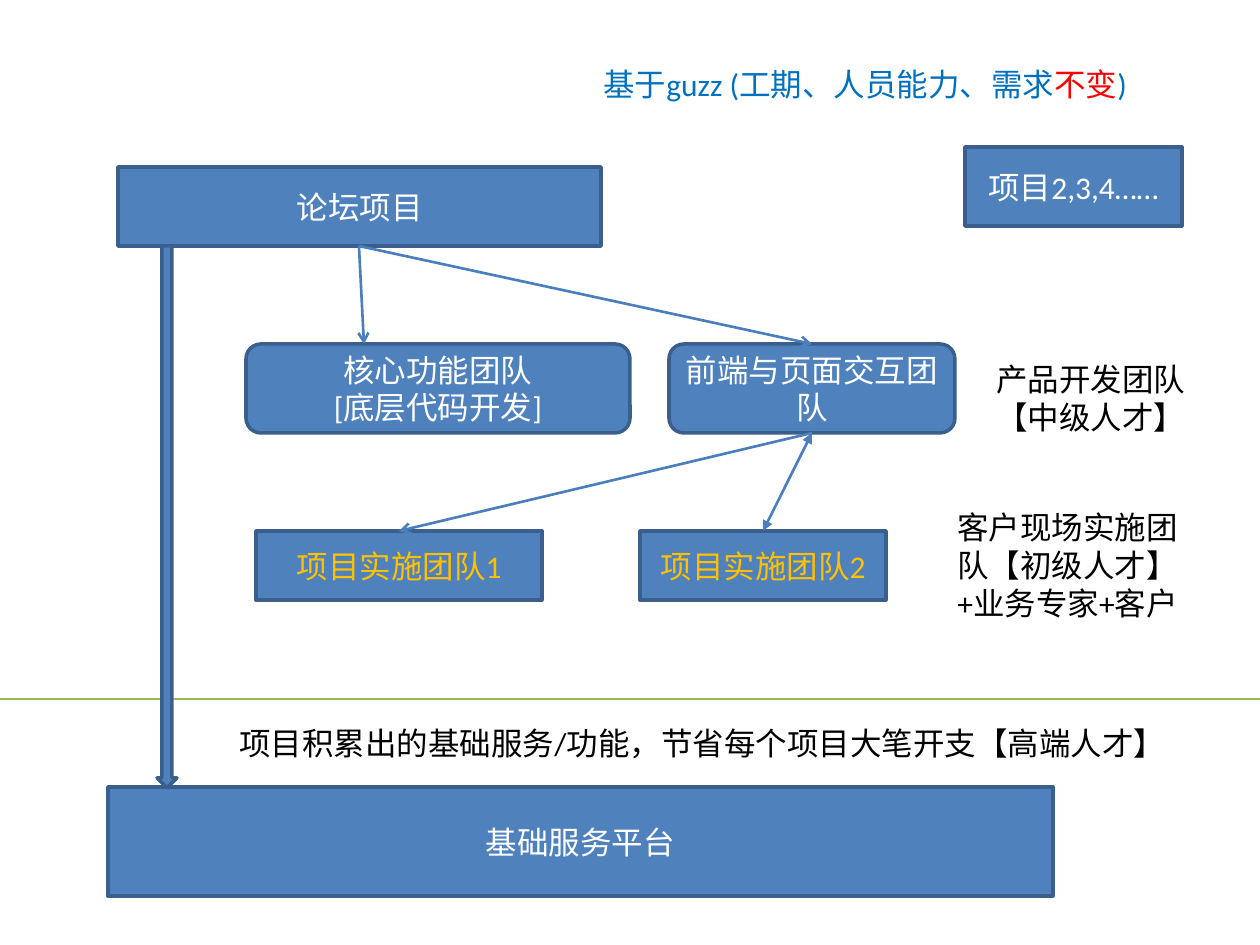
from lxml import etree
from pptx import Presentation
from pptx import util as u
from pptx.dml.color import RGBColor
from pptx.enum import shapes, text
from pptx.oxml.ns import qn

PX_PER_INCH = 126
WHITE = RGBColor(0xFF, 0xFF, 0xFF)
BLACK = RGBColor(0, 0, 0)
BLUE = RGBColor(0x00, 0x70, 0xC0)
RED = RGBColor(0xFF, 0, 0)
AMBER = RGBColor(0xFF, 0xC0, 0x00)
BOX_FILL = RGBColor(0x4F, 0x81, 0xBD)
BOX_EDGE = RGBColor(0x3A, 0x5F, 0x8C)
ARROW = RGBColor(0x4B, 0x7E, 0xBC)
DIVIDER = RGBColor(0x98, 0xB9, 0x55)

RECT = shapes.MSO_SHAPE.RECTANGLE
ROUND = shapes.MSO_SHAPE.ROUNDED_RECTANGLE
DOWN = shapes.MSO_SHAPE.DOWN_ARROW


def px(*values):
    """Turn pixels into EMU."""
    return [u.Inches(v / PX_PER_INCH) for v in values]


class Diagram:
    font_name = "Calibri"
    font_size = u.Pt(18)

    def __init__(self, prs):
        self.s = prs.slides.add_slide(prs.slide_layouts[6])

    def fill_text(self, tf, paragraphs, align):
        """Fill a frame; each paragraph is a list of (wording, colour) runs."""
        tf.word_wrap = True
        for i, runs in enumerate(paragraphs):
            p = tf.add_paragraph() if i else tf.paragraphs[0]
            p.alignment = align
            p.font.name, p.font.size = self.font_name, self.font_size
            for wording, color in runs:
                r = p.add_run()
                r.text = wording
                r.font.color.rgb = color

    def label(self, at, *runs):
        tf = self.s.shapes.add_textbox(*px(*at)).text_frame
        self.fill_text(tf, [runs], text.PP_ALIGN.LEFT)
        tf.auto_size = text.MSO_AUTO_SIZE.SHAPE_TO_FIT_TEXT

    def box(self, at, *lines, kind=RECT, color=WHITE):
        sp = self.s.shapes.add_shape(kind, *px(*at))
        sp.shadow.inherit = False
        sp.fill.solid()
        sp.fill.fore_color.rgb = BOX_FILL
        sp.line.color.rgb = BOX_EDGE
        sp.line.width = u.Pt(2)
        sp.text_frame.vertical_anchor = text.MSO_ANCHOR.MIDDLE
        self.fill_text(sp.text_frame, [[(line, color)] for line in lines],
                       text.PP_ALIGN.CENTER)

    def line(self, start, end, color=ARROW, head=None, tail=None):
        """Draw a line; head is the arrow at start, tail the one at end."""
        cx = self.s.shapes.add_connector(
            shapes.MSO_CONNECTOR.STRAIGHT, *px(*start, *end))
        cx.line.color.rgb = color
        cx.line.width = u.Pt(1.5)
        sp_pr = cx._element.spPr
        ln = sp_pr.find(qn("a:ln"))
        for tag, arrow in (("a:headEnd", head), ("a:tailEnd", tail)):
            if arrow:
                etree.SubElement(ln, qn(tag), type=arrow)
        etree.SubElement(sp_pr, qn("a:effectLst"))


def main():
    prs = Presentation()
    prs.slide_width, prs.slide_height = px(1260, 945)
    d = Diagram(prs)

    d.label((591, 59, 581, 50), ("基于guzz (工期、人员能力、需求", BLUE),
            ("不变", RED), (")", BLUE))
    d.box((118, 167, 483, 79), "论坛项目")
    d.box((965, 147, 217, 79), "项目2,3,4……")
    d.label((984, 354, 217, 89), ("产品开发团队【中级人才】", BLACK))
    d.label((227, 718, 1004, 50),
            ("项目积累出的基础服务/功能，节省每个项目大笔开支【高端人才】", BLACK))
    d.box((108, 787, 945, 109), "基础服务平台")
    d.line((0, 699), (1260, 699), DIVIDER)
    d.box((157, 246, 20, 542), kind=DOWN)

    d.box((246, 344, 384, 89), "核心功能团队", "[底层代码开发]", kind=ROUND)
    d.box((640, 531, 246, 69), "项目实施团队2", color=AMBER)
    d.box((256, 531, 286, 69), "项目实施团队1", color=AMBER)
    d.box((669, 344, 286, 89), "前端与页面交互团队", kind=ROUND)

    forum, front_end = (359, 246), (812, 433)
    d.line(forum, (364, 344), tail="arrow")
    d.line(forum, (812, 344), tail="arrow")
    d.line(front_end, (399, 531), tail="arrow")
    d.line(front_end, (763, 531), head="triangle", tail="triangle")
    d.label((945, 502, 266, 127),
            ("客户现场实施团队【初级人才】+业务专家+客户", BLACK))

    prs.save("out.pptx")


if __name__ == "__main__":
    main()
